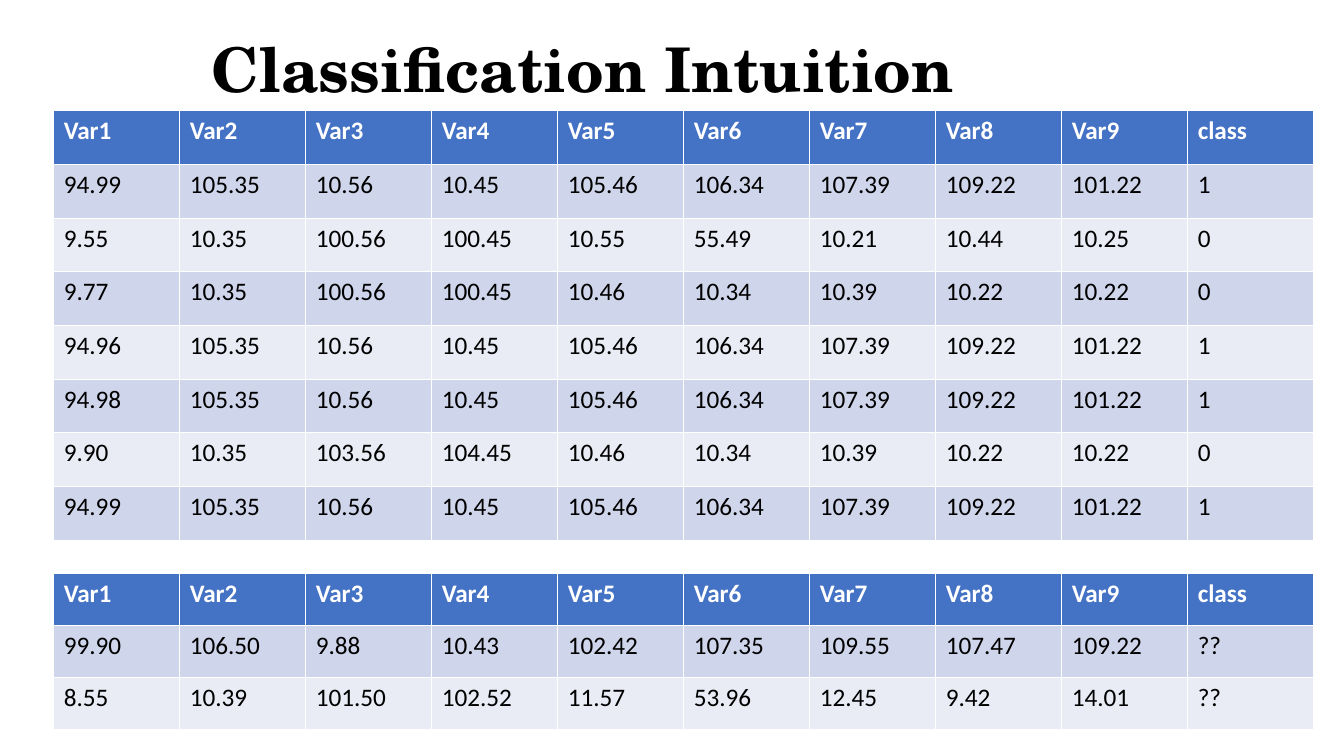
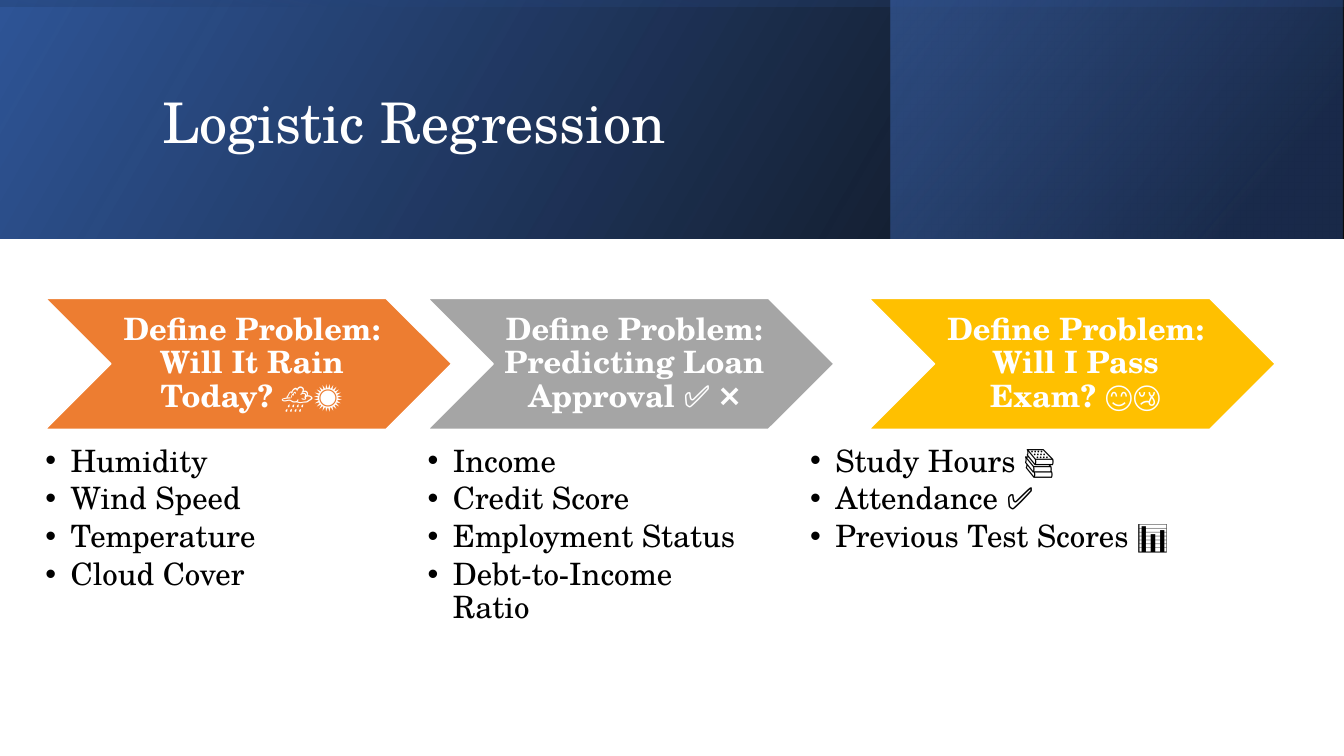
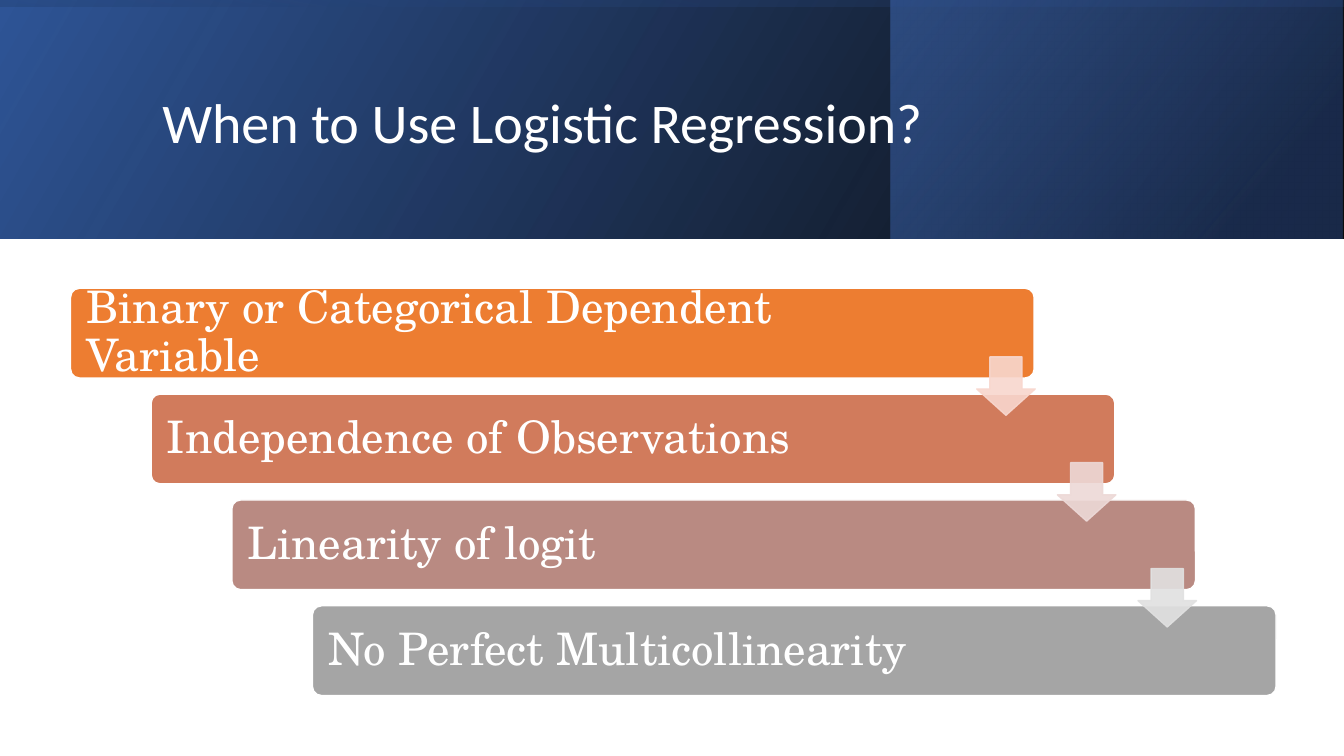
import dataclasses

import lxml.etree
import pptx
import pptx.dml.color
import pptx.enum.shapes
import pptx.enum.text
import pptx.oxml
import pptx.oxml.ns
import pptx.util

SHAPES = pptx.enum.shapes.MSO_SHAPE
ALIGN = pptx.enum.text.PP_ALIGN
ANCHOR = pptx.enum.text.MSO_ANCHOR
TITLE_ONLY, FOUR_BODIES = 5, 4


@dataclasses.dataclass(frozen=True)
class Theme:
    serif: str = "TeX Gyre Schola"
    sans: str = "Calibri"
    white: str = "FFFFFF"
    black: str = "000000"
    blue: str = "4472C4"
    deep_blue: str = "2F5597"
    navy: str = "203864"
    orange: str = "ED7D31"
    grey: str = "A5A5A5"
    gold: str = "FFC000"
    table_bands: tuple = ("CFD5EA", "E9EBF5")
    steps: tuple = ("ED7D31", "D17B5C", "B98A82", "A5A5A5")
    arrows: tuple = ("F8D7CE", "EDD9D7", "E1E1E1")
    heading_size: int = 44
    title_size: int = 40
    step_size: int = 32
    list_size: int = 22
    table_size: int = 18
    line_spacing: float = 0.9


class Slides:
    """Theme, deck and current page; boxes are (left, top, width, height) on a 40 x 30 grid."""

    columns, rows = 40, 30

    def __init__(self, theme):
        self.theme = theme
        self.deck = pptx.Presentation()
        self.deck.slide_width = pptx.util.Inches(13.33)
        self.deck.slide_height = pptx.util.Inches(7.5)
        self.page = None

    def across(self, count):
        return round(self.deck.slide_width * count / self.columns)

    def down(self, count):
        return round(self.deck.slide_height * count / self.rows)

    def frame(self, box):
        left, top, width, height = box
        return self.across(left), self.down(top), self.across(width), self.down(height)

    def new_page(self, layout=TITLE_ONLY):
        self.page = self.deck.slides.add_slide(self.deck.slide_layouts[layout])

    def place(self, holder, box):
        holder.left, holder.top, holder.width, holder.height = self.frame(box)

    def style(self, para, size, color, font=None, bold=False):
        for span in para.runs:
            span.font.size = pptx.util.Pt(size)
            span.font.name = font or self.theme.serif
            span.font.bold = bold
            span.font.color.rgb = pptx.dml.color.RGBColor.from_string(color)

    def set_frame(self, text_frame, anchor, insets=(0.1, 0.05, 0.1, 0.05)):
        """Insets are left, top, right and bottom, in inches."""
        text_frame.word_wrap = True
        text_frame.auto_size = pptx.enum.text.MSO_AUTO_SIZE.NONE
        text_frame.vertical_anchor = anchor
        sides = ("left", "top", "right", "bottom")
        for side, inset in zip(sides, insets):
            setattr(text_frame, f"margin_{side}", pptx.util.Inches(inset))

    def title(self, text, box, size, color, anchor, spacing, font=None, bold=False):
        holder = self.page.shapes.title
        self.place(holder, box)
        self.set_frame(holder.text_frame, anchor)
        holder.text_frame.text = text
        para = holder.text_frame.paragraphs[0]
        para.alignment = ALIGN.LEFT
        para.line_spacing = spacing
        self.style(para, size, color, font, bold)

    def shape(self, kind, box, color, adjustments=(), opacity=100):
        shape = self.page.shapes.add_shape(kind, *self.frame(box))
        shape.shadow.inherit = False
        shape.line.width = pptx.util.Pt(1)
        line_color = color if opacity < 100 else self.theme.white
        for fill, shade in ((shape.fill, color), (shape.line.fill, line_color)):
            fill.solid()
            fill.fore_color.rgb = pptx.dml.color.RGBColor.from_string(shade)
        if opacity < 100:
            for shade in shape.element.spPr.iter(pptx.oxml.ns.qn("a:srgbClr")):
                alpha = lxml.etree.SubElement(shade, pptx.oxml.ns.qn("a:alpha"))
                alpha.set("val", str(opacity * 1000))
        for index, value in enumerate(adjustments):
            shape.adjustments[index] = value
        return shape

    def label(self, shape, text, size, align, insets, bold=False):
        self.set_frame(shape.text_frame, ANCHOR.MIDDLE, insets)
        shape.text_frame.text = text
        para = shape.text_frame.paragraphs[0]
        para.alignment = align
        para.line_spacing = self.theme.line_spacing
        self.style(para, size, self.theme.white, bold=bold)

    def gradient_band(self, box, stops, angle, rotation=0):
        """Mirrored band; each stop is (position, colour, opacity), in percent."""
        band = self.shape(SHAPES.RECTANGLE, box, self.theme.blue)
        band.line.fill.background()
        band.rotation = rotation
        properties = band.element.spPr
        properties.find(pptx.oxml.ns.qn("a:xfrm")).set("flipH", "1")
        marks = "".join(
            f'<a:gs pos="{position * 1000}"><a:srgbClr val="{color}">'
            f'<a:alpha val="{opacity * 1000}"/></a:srgbClr></a:gs>'
            for position, color, opacity in stops)
        gradient = pptx.oxml.parse_xml(
            f'<a:gradFill {pptx.oxml.ns.nsdecls("a")} rotWithShape="1">'
            f'<a:gsLst>{marks}</a:gsLst>'
            f'<a:lin ang="{angle * 60000}" scaled="0"/></a:gradFill>')
        solid = properties.find(pptx.oxml.ns.qn("a:solidFill"))
        properties.replace(solid, gradient)

    def banner(self, text, font=None):
        """Three layered gradients with the title in front."""
        theme = self.theme
        self.gradient_band((0, 0, 40, 9.48),
                           [(0, theme.black, 96), (100, theme.deep_blue, 100)], 330)
        self.gradient_band((26.52, 0, 13.44, 9.48),
                           [(19, theme.navy, 68), (100, theme.blue, 48)], 320)
        self.gradient_band((16.44, -21.92, 7.11, 53.32),
                           [(23, theme.deep_blue, 16), (99, theme.black, 45)], 350, 270)
        self.page.shapes.element.append(self.page.shapes.title.element)
        self.title(text, (4.53, 1.52, 31.9, 6.88), theme.title_size, theme.white,
                   ANCHOR.MIDDLE, theme.line_spacing, font)

    def table(self, left, top, width, row_height, records):
        theme = self.theme
        box = (left, top, width, row_height * len(records))
        table = self.page.shapes.add_table(
            len(records), len(records[0]), *self.frame(box)).table
        for row, record in enumerate(records):
            table.rows[row].height = self.down(row_height)
            header = row == 0
            fill = theme.blue if header else theme.table_bands[(row - 1) % 2]
            for column, text in enumerate(record):
                cell = table.cell(row, column)
                cell.fill.solid()
                cell.fill.fore_color.rgb = pptx.dml.color.RGBColor.from_string(fill)
                cell.text_frame.text = text
                self.style(cell.text_frame.paragraphs[0], theme.table_size,
                           theme.white if header else theme.black, theme.sans, header)

    def bullets(self, holder, box, items):
        self.place(holder, box)
        frame = holder.text_frame
        self.set_frame(frame, ANCHOR.TOP, (0, 0, 0, 0))
        frame.text = "\n".join(items)
        for para in frame.paragraphs:
            properties = para._p.get_or_add_pPr()
            indent = pptx.util.Inches(0.25)
            properties.set("marL", str(indent))
            properties.set("indent", str(-indent))
            bullet = lxml.etree.SubElement(properties, pptx.oxml.ns.qn("a:buChar"))
            bullet.set("char", "•")
            para.line_spacing = self.theme.line_spacing
            para.space_before = pptx.util.Pt(0)
            para.space_after = pptx.util.Pt(3.3)
            self.style(para, self.theme.list_size, self.theme.black)


def classification_page(slides):
    theme = slides.theme
    header = [f"Var{number}" for number in range(1, 10)] + ["class"]
    known = """
        94.99 105.35 10.56 10.45 105.46 106.34 107.39 109.22 101.22 1
        9.55 10.35 100.56 100.45 10.55 55.49 10.21 10.44 10.25 0
        9.77 10.35 100.56 100.45 10.46 10.34 10.39 10.22 10.22 0
        94.96 105.35 10.56 10.45 105.46 106.34 107.39 109.22 101.22 1
        94.98 105.35 10.56 10.45 105.46 106.34 107.39 109.22 101.22 1
        9.90 10.35 103.56 104.45 10.46 10.34 10.39 10.22 10.22 0
        94.99 105.35 10.56 10.45 105.46 106.34 107.39 109.22 101.22 1"""
    unknown = """
        99.90 106.50 9.88 10.43 102.42 107.35 109.55 107.47 109.22 ??
        8.55 10.39 101.50 102.52 11.57 53.96 12.45 9.42 14.01 ??"""
    slides.new_page()
    for top, row_height, values in ((4.4, 2.13, known), (22.76, 2.07, unknown)):
        records = [line.split() for line in values.strip().splitlines()]
        slides.table(1.6, top, 37.5, row_height, [header] + records)
    slides.title("Classification Intuition", (6, 1.04, 29.43, 3.36), theme.heading_size,
                 theme.black, ANCHOR.TOP, 1.0, bold=True)


def problems_page(slides):
    theme = slides.theme
    narrow, wide = 9.66, 13.17
    problems = [
        ("Define Problem: Will It Rain Today? 🌧️☀️", theme.orange, narrow,
         ["Humidity", "Wind Speed", "Temperature", "Cloud Cover"]),
        ("Define Problem: Predicting Loan Approval ✅ ❌", theme.grey, narrow,
         ["Income", "Credit Score", "Employment Status", "Debt-to-Income Ratio"]),
        ("Define Problem: Will I Pass Exam? 😊😢", theme.gold, wide,
         ["Study Hours 📚", "Attendance ✅", "Previous Test Scores 📊"]),
    ]
    slides.new_page(FOUR_BODIES)
    slides.banner("Logistic Regression")
    *holders, spare = [holder for holder in slides.page.placeholders
                       if holder.placeholder_format.idx > 0]
    spare.element.getparent().remove(spare.element)
    for index, (question, color, width, factors) in enumerate(problems):
        left = 1.35 + 11.38 * index
        chevron_left = left + (width - narrow) / 2
        chevron = slides.shape(SHAPES.CHEVRON, (chevron_left, 11.84, 12.09, 5.2), color)
        slides.label(chevron, question, theme.list_size, ALIGN.CENTER,
                     (0.1, 0.03, 0.03, 0.03), bold=True)
        slides.bullets(holders[index], (left, 17.68, width, 7.56), factors)


def conditions_page(slides):
    theme = slides.theme
    conditions = ["Binary or Categorical Dependent Variable", "Independence of Observations",
                  "Linearity of logit", "No Perfect Multicollinearity"]
    step_right, step_down = 2.4, 4.2
    slides.new_page()
    slides.banner("When to Use Logistic Regression?", theme.sans)
    for index, (condition, color) in enumerate(zip(conditions, theme.steps)):
        box = (2.1 + step_right * index, 11.44 + step_down * index, 28.68, 3.56)
        step = slides.shape(SHAPES.ROUNDED_RECTANGLE, box, color, [0.1])
        slides.label(step, condition, theme.step_size, ALIGN.LEFT, (0.13, 0.13, 1.3, 0.13))
    for index, color in enumerate(theme.arrows):
        box = (29.07 + step_right * index, 14.16 + step_down * index, 1.74, 2.32)
        slides.shape(SHAPES.DOWN_ARROW, box, color, [0.55, 0.45], opacity=90)


def main():
    slides = Slides(Theme())
    classification_page(slides)
    problems_page(slides)
    conditions_page(slides)
    slides.deck.save("out.pptx")


if __name__ == "__main__":
    main()
